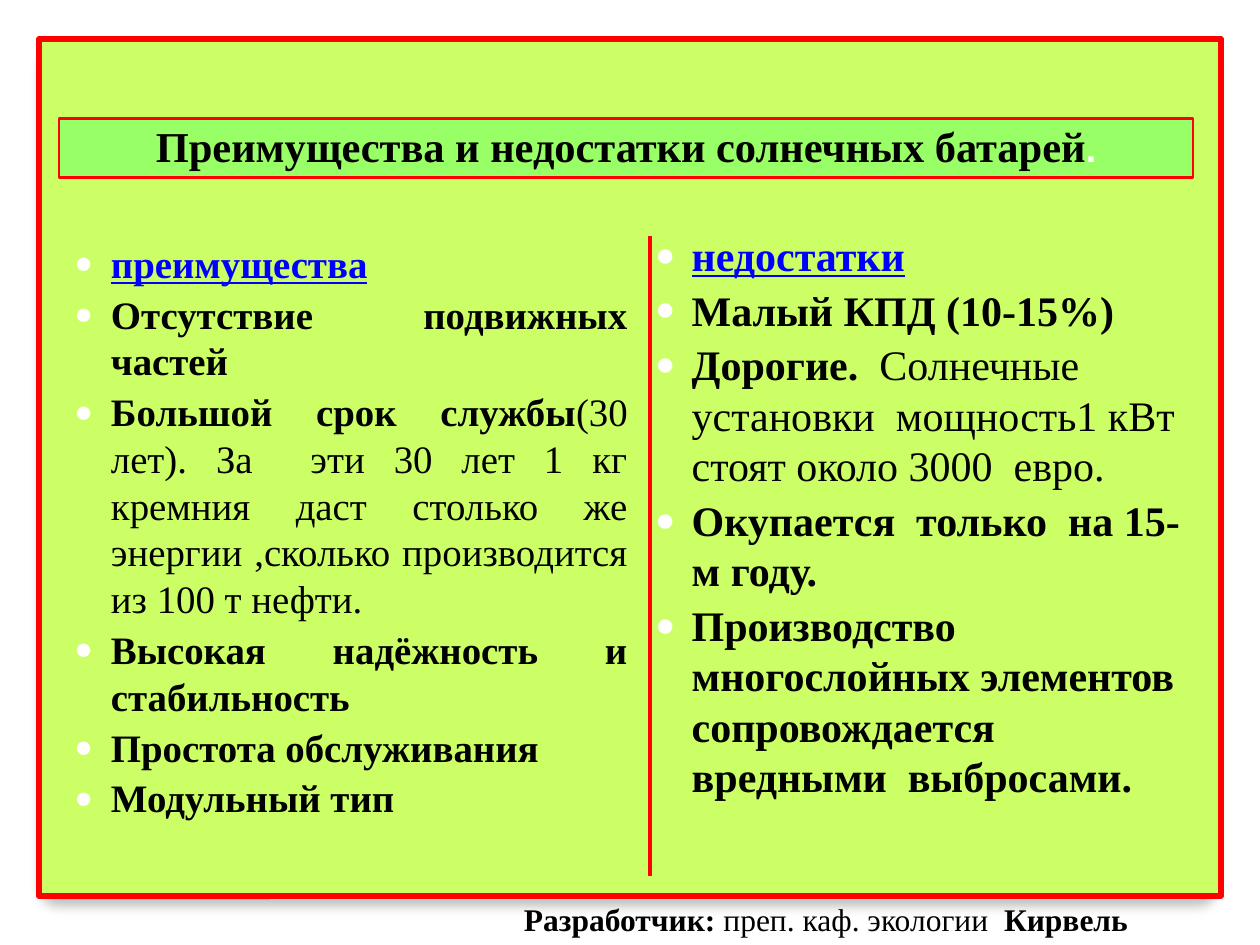
import pptx
import pptx.util
import pptx.dml.color
import pptx.enum.shapes
import pptx.enum.text
import pptx.oxml
import pptx.oxml.ns

Inches, Pt = pptx.util.Inches, pptx.util.Pt
RGBColor = pptx.dml.color.RGBColor
MSO_SHAPE = pptx.enum.shapes.MSO_SHAPE
PP_ALIGN = pptx.enum.text.PP_ALIGN
MSO_ANCHOR = pptx.enum.text.MSO_ANCHOR

BLACK = RGBColor(0x00, 0x00, 0x00)
WHITE = RGBColor(0xFF, 0xFF, 0xFF)
RED = RGBColor(0xFF, 0x00, 0x00)
BLUE = RGBColor(0x00, 0x00, 0xFF)
GREY = RGBColor(0xA4, 0xA4, 0xA4)
LIME = RGBColor(0xCC, 0xFF, 0x66)
GREEN = RGBColor(0x99, 0xFF, 0x66)
NS = 'xmlns:a="http://schemas.openxmlformats.org/drawingml/2006/main"'
SHADOW = (f'<a:effectLst {NS}><a:outerShdw blurRad="76200" dist="50800" dir="5400000">'
          '<a:srgbClr val="000000"><a:alpha val="25000"/></a:srgbClr>'
          '</a:outerShdw></a:effectLst>')
BULLET = (f'<a:buClr {NS}><a:srgbClr val="FFFFFF"/></a:buClr>',
          f'<a:buSzPct {NS} val="80000"/>',
          f'<a:buFont {NS} typeface="Arial"/>',
          f'<a:buChar {NS} char="●"/>')


def add_panel(kind, box, fill, line, width):
    sp = s.shapes.add_shape(kind, *[Inches(v) for v in box])
    sp.shadow.inherit = False
    sp.fill.solid()
    sp.fill.fore_color.rgb = fill
    sp.line.color.rgb = line
    sp.line.width = Pt(width)
    return sp


def add_run(p, text, size, bold=True, color=BLACK, name="Times New Roman"):
    r = p.add_run()
    r.text = text
    r.font.size = Pt(size)
    r.font.bold = bold
    r.font.color.rgb = color
    r.font.name = name
    return r


prs = pptx.Presentation()
prs.slide_width, prs.slide_height = Inches(10), Inches(7.5)
s = prs.slides.add_slide(prs.slide_layouts[6])

# Backdrop with a soft shadow, then the green panel
backdrop = add_panel(MSO_SHAPE.ROUNDED_RECTANGLE, (0.33, 0.36, 9.33, 6.78), WHITE, GREY, 0.16)
backdrop.adjustments[0] = 0.02
spPr = backdrop.element.spPr
spPr.remove(spPr.find(pptx.oxml.ns.qn("a:effectLst")))
spPr.append(pptx.oxml.parse_xml(SHADOW))
add_panel(MSO_SHAPE.RECTANGLE, (0.31, 0.31, 9.38, 6.8), LIME, RED, 3.35)

# Title
title = add_panel(MSO_SHAPE.RECTANGLE, (0.47, 0.94, 9, 0.47), GREEN, RED, 1.5)
tf = title.text_frame
tf.word_wrap = True
tf.vertical_anchor = MSO_ANCHOR.BOTTOM
p = tf.paragraphs[0]
p.alignment = PP_ALIGN.CENTER
add_run(p, "Преимущества и недостатки солнечных батарей", 24.3)
add_run(p, ".", 21.6, color=WHITE, name="Arial")

# Two columns; each item is its bold part and its plain part
columns = [
    ((0.39, 1.8, 4.69, 4.45), 22.2, PP_ALIGN.JUSTIFY, "преимущества", [
        ("Отсутствие подвижных частей", ""),
        ("Большой срок службы",
         "(30 лет). За  эти 30 лет 1 кг кремния даст столько же энергии "
         ",сколько производится из 100 т нефти."),
        ("Высокая надёжность и стабильность", ""),
        ("Простота обслуживания", ""),
        ("Модульный тип", ""),
    ]),
    ((5, 1.72, 4.53, 4.84), 24, PP_ALIGN.LEFT, "недостатки", [
        ("Малый КПД (10-15%)", ""),
        ("Дорогие.  ", "Солнечные установки  мощность1 кВт стоят около 3000  евро."),
        ("Окупается  только  на 15-м году.", ""),
        ("Производство многослойных элементов сопровождается вредными  выбросами.", ""),
    ]),
]
for box, size, align, heading, items in columns:
    tf = s.shapes.add_textbox(*[Inches(v) for v in box]).text_frame
    tf.word_wrap = True
    tf.margin_left, tf.margin_top = Inches(0.2), Inches(0.1)
    for i, (bold, plain) in enumerate([(heading, "")] + items):
        p = tf.add_paragraph() if i else tf.paragraphs[0]
        pPr = p._p.get_or_add_pPr()
        pPr.set("marL", str(Inches(0.29)))
        pPr.set("indent", str(-Inches(0.29)))
        for xml in BULLET:
            pPr.append(pptx.oxml.parse_xml(xml))
        p.alignment = align if i else PP_ALIGN.LEFT
        if i:
            p.space_before = Pt(2.5)
        r = add_run(p, bold, size, color=BLACK if i else BLUE)
        r.font.underline = i == 0
        if plain:
            add_run(p, plain, size, bold=False)

# Column divider
divider = s.shapes.add_connector(pptx.enum.shapes.MSO_CONNECTOR.STRAIGHT,
                                 Inches(5.16), Inches(1.87), Inches(5.16), Inches(6.95))
divider.line.color.rgb = RED
divider.line.width = Pt(2.25)
divider.element.spPr.append(pptx.oxml.parse_xml(f"<a:effectLst {NS}/>"))

# Author line
tf = s.shapes.add_textbox(Inches(4.06), Inches(7.09), Inches(5.55), Inches(0.4)).text_frame
tf.word_wrap = True
p = tf.paragraphs[0]
add_run(p, "Разработчик:", 18)
add_run(p, " преп. каф. экологии  ", 18, bold=False)
add_run(p, "Кирвель", 18)

prs.save("out.pptx")
